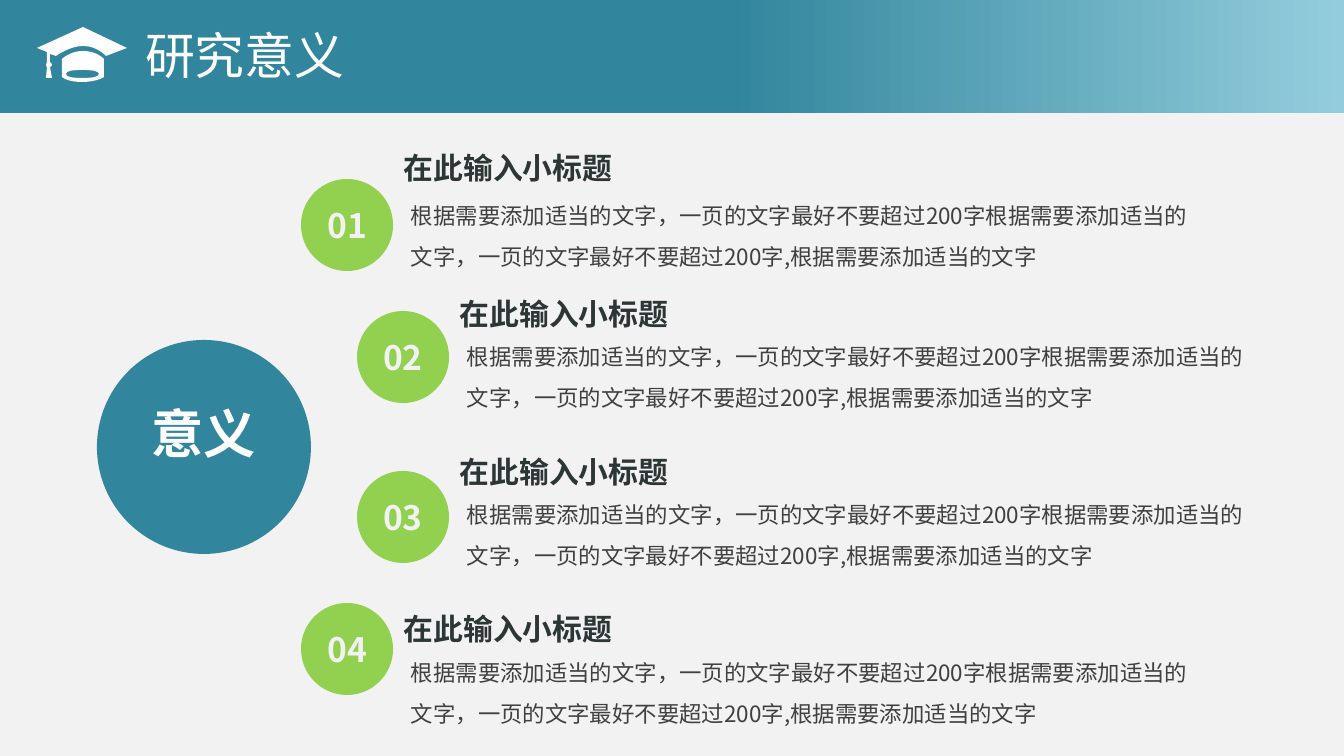
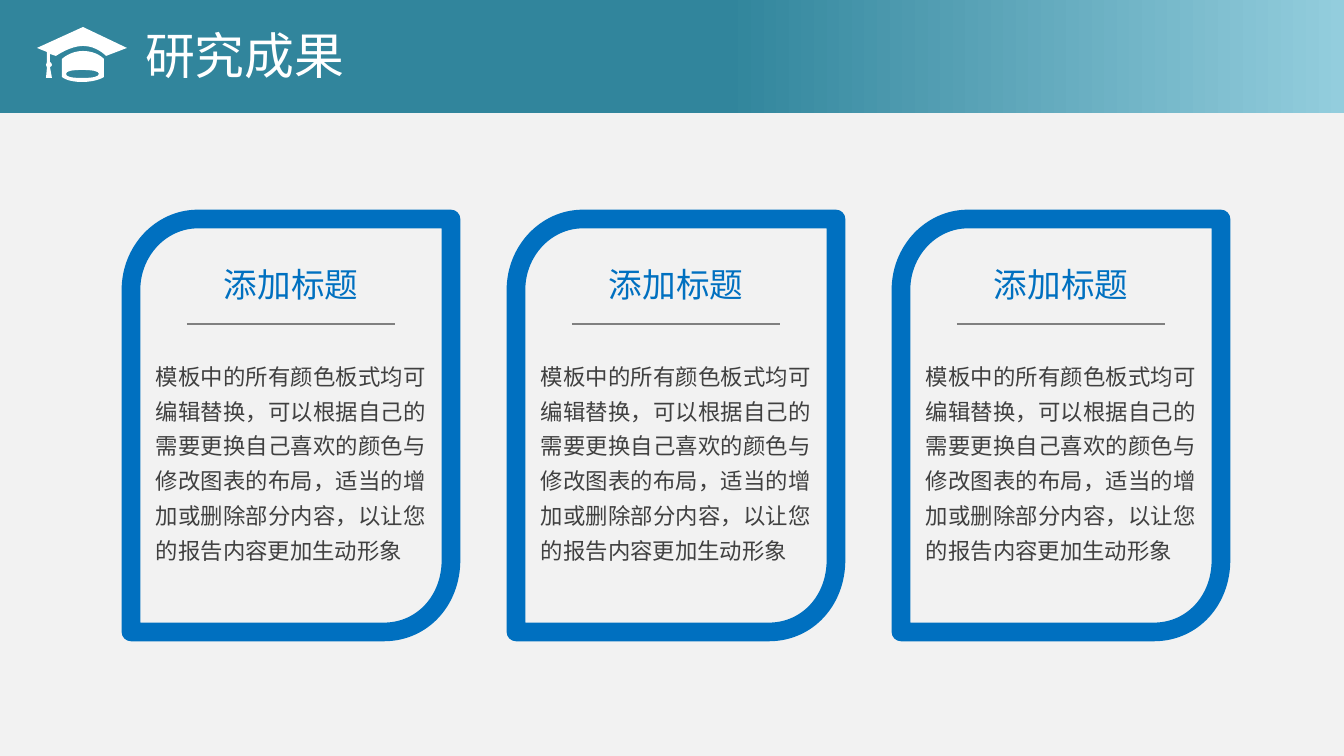
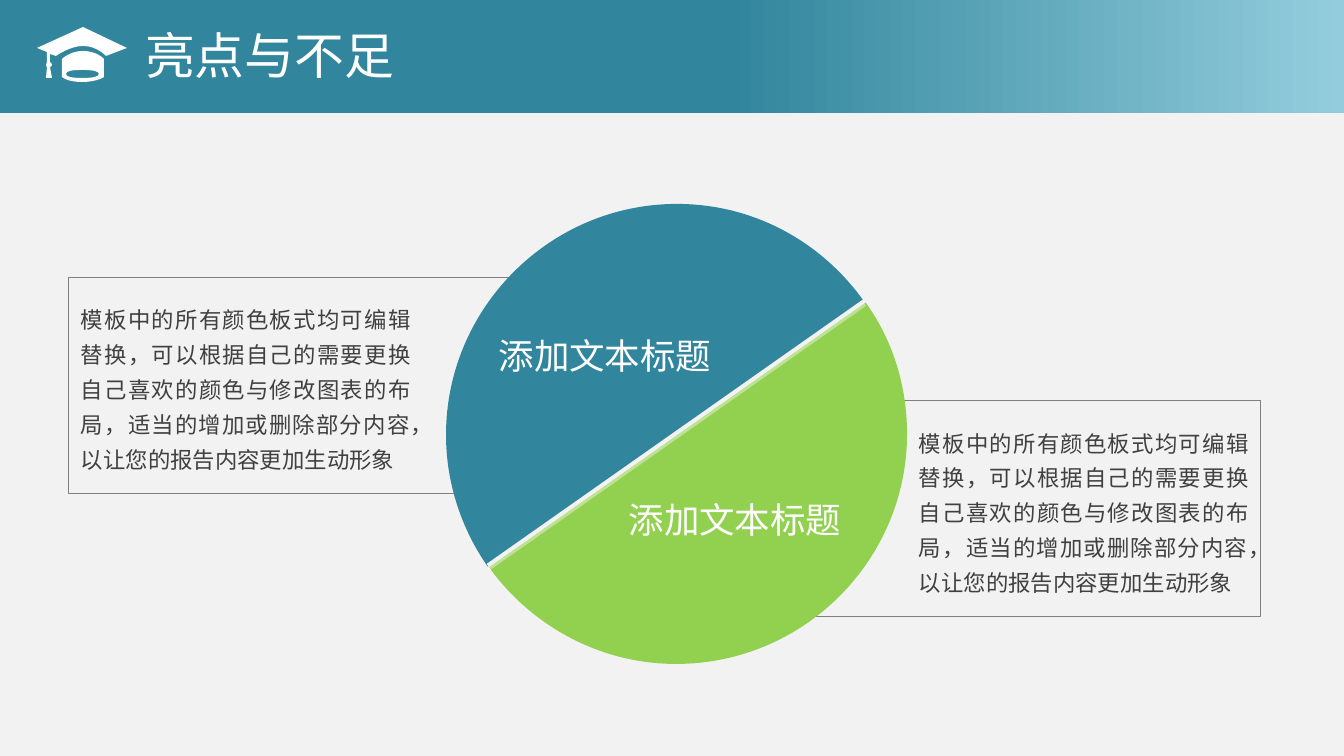
from lxml import etree
from pptx import Presentation
from pptx.dml.color import RGBColor
from pptx.enum.shapes import MSO_CONNECTOR as Connector, MSO_SHAPE as Preset
from pptx.enum.text import MSO_ANCHOR as Anchor, MSO_AUTO_SIZE as AutoSize, PP_ALIGN as Align
from pptx.oxml.ns import qn
from pptx.util import Emu, Inches, Pt

SLIDE_WIDTH, SLIDE_HEIGHT = 1344, 756
SCALE = Inches(10) / SLIDE_WIDTH
FONT = "Noto Sans CJK SC"

TEAL = RGBColor(0x31, 0x85, 0x9C)
PALE_TEAL = RGBColor(0x93, 0xCD, 0xDD)
GREEN = RGBColor(0x92, 0xD0, 0x50)
BLUE = RGBColor(0x00, 0x70, 0xC0)
WHITE = RGBColor(0xFF, 0xFF, 0xFF)
PAPER = RGBColor(0xF2, 0xF2, 0xF2)
GRAY = RGBColor(0x80, 0x80, 0x80)
INK = RGBColor(0x2C, 0x36, 0x37)
BODY_INK = RGBColor(0x40, 0x40, 0x40)

ITEM_TEXT = ("根据需要添加适当的文字，一页的文字最好不要超过200字根据需要添加适当的文字，"
             "一页的文字最好不要超过200字,根据需要添加适当的文字")
TEMPLATE_TEXT = ("模板中的所有颜色板式均可编辑替换，可以根据自己的需要更换自己喜欢的颜色与修改图表的布局，"
                 "适当的增加或删除部分内容，以让您的报告内容更加生动形象")

# Outlines in px: a pair is a straight step, six numbers are a Bezier curve
CAP = [
    [(69, 29), (69, 29, 60, 19, 46, 19), (33, 19, 19, 29, 19, 29), (13, 27), (13, 35),
     (14, 36, 15, 36, 15, 38), (15, 39, 14, 40, 13, 40), (15, 51), (9, 51), (10, 40),
     (10, 40, 9, 39, 9, 38), (9, 37, 10, 36, 10, 35), (10, 25), (0, 21), (46, 0), (90, 21)],
    [(46, 24), (60, 24, 67, 32, 67, 32), (67, 50), (67, 50, 60, 55, 45, 55),
     (30, 55, 25, 50, 25, 50), (25, 32), (25, 32, 33, 24, 46, 24)],
    [(45, 51), (55, 51, 62, 50, 62, 47), (62, 44, 55, 43, 45, 43),
     (35, 43, 29, 44, 29, 47), (29, 50, 35, 51, 45, 51)],
]
CARD = [[(67, 0), (320, 0), (320, 341), (320, 382, 291, 413, 253, 413),
         (0, 413), (0, 71), (0, 32, 30, 0, 67, 0)]]
UPPER_HALF = [[(231, 0), (308, 0, 375, 38, 417, 96), (42, 363),
               (16, 326, 0, 280, 0, 231), (0, 104, 104, 0, 231, 0)]]
LOWER_HALF = [[(417, 95), (445, 132, 461, 179, 461, 230), (461, 356, 358, 460, 230, 460),
               (153, 460, 84, 421, 42, 362)]]


def px(length):
    return Emu(round(length * SCALE))


def box_px(*box):
    return [px(length) for length in box]


def paint(shape, fill=None, line=None, width=0):
    shape.shadow.inherit = False
    if fill is None:
        shape.fill.background()
    else:
        shape.fill.solid()
        shape.fill.fore_color.rgb = fill
    if line is None:
        shape.line.fill.background()
    else:
        shape.line.color.rgb = line
        shape.line.width = Pt(width)
    return shape


def write(shape, text, size, color, bold=False, align=Align.LEFT, anchor=Anchor.TOP,
          insets=(13, 7, 13, 7), spacing=1.0):
    frame = shape.text_frame
    frame.text = text
    frame.word_wrap = True
    frame.auto_size = AutoSize.NONE
    frame.vertical_anchor = anchor
    (frame.margin_left, frame.margin_top,
     frame.margin_right, frame.margin_bottom) = box_px(*insets)
    paragraph = frame.paragraphs[0]
    paragraph.alignment = align
    paragraph.line_spacing = spacing
    run = paragraph.runs[0]
    run.font.name = FONT
    run.font.size = Pt(size)
    run.font.bold = bold
    run.font.color.rgb = color
    east_asian = etree.SubElement(run._r.get_or_add_rPr(), qn("a:ea"))
    east_asian.set("typeface", FONT)


def add_preset(shapes, preset, box, fill, line=None, width=0):
    return paint(shapes.add_shape(preset, *box_px(*box)), fill, line, width)


def add_text(shapes, box, *args, **options):
    write(shapes.add_textbox(*box_px(*box)), *args, **options)


def bend(shape, contours):
    """Turn the straight segments of a freeform into curves where six numbers are given."""
    ends = [step[-2:] for contour in contours for step in contour]
    min_x, min_y = min(x for x, _ in ends), min(y for _, y in ends)
    steps = [step for contour in contours for step in contour[1:]]
    segments = list(shape.element.iter(qn("a:lnTo")))
    for segment, step in zip(segments, steps):
        if len(step) == 6:
            curve = etree.Element(qn("a:cubicBezTo"))
            for x, y in zip(step[::2], step[1::2]):
                etree.SubElement(curve, qn("a:pt"), x=str(x - min_x), y=str(y - min_y))
            segment.getparent().replace(segment, curve)


def add_outline(shapes, left, top, contours, fill=None, line=None, width=0):
    builder = shapes.build_freeform(*contours[0][0], scale=SCALE)
    for index, contour in enumerate(contours):
        if index:
            builder.move_to(*contour[0])
        builder.add_line_segments([step[-2:] for step in contour[1:]], close=True)
    shape = builder.convert_to_shape(px(left), px(top))
    bend(shape, contours)
    return paint(shape, fill, line, width)


def add_backdrop(presentation, slide):
    """Lay the paper colour on the master, behind its placeholders."""
    backdrop = add_preset(slide.shapes, Preset.RECTANGLE,
                          (0, 0, SLIDE_WIDTH, SLIDE_HEIGHT), PAPER)
    backdrop.element.nvSpPr.cNvPr.set("id", "20")
    presentation.slide_master.shapes[0].element.addprevious(backdrop.element)


def add_titled_slide(presentation, title):
    slide = presentation.slides.add_slide(presentation.slide_layouts[5])
    heading = slide.shapes.title
    # Gradient band, kept behind the title
    band = add_preset(slide.shapes, Preset.RECTANGLE, (0, 0, SLIDE_WIDTH, 113), TEAL)
    band.fill.gradient()
    band.fill.gradient_angle = 180
    for stop, position, color in zip(band.fill.gradient_stops, (0, 0.46), (PALE_TEAL, TEAL)):
        stop.position = position
        stop.color.rgb = color
    heading.element.addprevious(band.element)
    # Title and graduation cap
    heading.left, heading.top, heading.width, heading.height = box_px(132, 18, 567, 74)
    write(heading, title, 26.7, WHITE, anchor=Anchor.MIDDLE)
    add_outline(slide.shapes, 37, 27, CAP, WHITE)
    return slide


def add_hub(slide, left, top):
    group = slide.shapes.add_group_shape()
    add_preset(group.shapes, Preset.OVAL, (left, top, 214, 214), TEAL)
    add_text(group.shapes, (left + 22, top + 54, 169, 77), "意义", 28, WHITE,
             bold=True, align=Align.CENTER)


def add_item(slide, number, left, circle_top, heading_top, body_top):
    circle = add_preset(slide.shapes, Preset.OVAL, (left, circle_top, 92, 92), GREEN)
    write(circle, f"{number:02}", 18, PAPER, bold=True, align=Align.CENTER,
          anchor=Anchor.MIDDLE, insets=(0, 7, 0, 7))
    insets = (9, 5, 9, 5)
    add_text(slide.shapes, (left + 94, heading_top, 305, 46), "在此输入小标题", 16, INK,
             bold=True, insets=insets)
    add_text(slide.shapes, (left + 101, body_top, 810, 87), ITEM_TEXT, 12, BODY_INK,
             insets=insets, spacing=1.5)


def build_significance(presentation):
    slide = add_titled_slide(presentation, "研究意义")
    add_backdrop(presentation, slide)
    items = [(301, 179, 145, 184), (357, 311, 291, 325),
             (357, 471, 449, 483), (301, 603, 606, 641)]
    for number, item in enumerate(items, 1):
        add_item(slide, number, *item)
    add_hub(slide, 97, 340)


def write_description(shape, insets):
    write(shape, TEMPLATE_TEXT, 12, BODY_INK, align=Align.JUSTIFY,
          anchor=Anchor.MIDDLE, insets=insets, spacing=1.3)


def add_card(slide, left, top):
    card = add_outline(slide.shapes, left, top, CARD, line=BLUE, width=10)
    write_description(card, (25, 75, 25, 7))
    # Heading with its rule
    rule = slide.shapes.add_connector(
        Connector.STRAIGHT, *box_px(left + 56, top + 105, left + 264, top + 105))
    rule.line.color.rgb = GRAY
    rule.line.width = Pt(1.5)
    etree.SubElement(rule.element.spPr, qn("a:effectLst"))
    add_text(slide.shapes, (left + 56, top + 26, 208, 79), "添加标题", 18, BLUE,
             align=Align.CENTER, anchor=Anchor.MIDDLE, insets=(0, 7, 0, 7))


def build_results(presentation):
    slide = add_titled_slide(presentation, "研究成果")
    for column in range(3):
        add_card(slide, 131 + 385 * column, 219)


def add_note(slide, box, insets):
    note = add_preset(slide.shapes, Preset.RECTANGLE, box, PAPER, GRAY, 0.5)
    write_description(note, insets)


def add_split_disc(slide, left, top):
    halves = [(LOWER_HALF, GREEN, (75, 75, 0, 0)), (UPPER_HALF, TEAL, (0, 0, 99, 60))]
    for outline, color, insets in halves:
        half = add_outline(slide.shapes, left, top, outline, color)
        write(half, "添加文本标题", 19, WHITE, align=Align.CENTER,
              anchor=Anchor.MIDDLE, insets=insets)
    # Slanted gap with a translucent white shadow
    gap = add_preset(slide.shapes, Preset.RECTANGLE, (left, top + 227, 461, 4), PAPER)
    gap.rotation = 324.9
    effects = gap.element.spPr.find(qn("a:effectLst"))
    shadow = etree.SubElement(effects, qn("a:outerShdw"), blurRad="0", dist=str(Pt(2)),
                              dir="5400000", rotWithShape="0")
    color = etree.SubElement(shadow, qn("a:srgbClr"), val=str(WHITE))
    etree.SubElement(color, qn("a:alpha"), val="40000")


def build_strengths(presentation):
    slide = add_titled_slide(presentation, "亮点与不足")
    add_note(slide, (785, 401, 476, 216), (134, 7, 12, 7))
    add_note(slide, (69, 277, 476, 217), (12, 7, 134, 7))
    add_split_disc(slide, 446, 204)


def main():
    presentation = Presentation()
    presentation.slide_width = px(SLIDE_WIDTH)
    presentation.slide_height = px(SLIDE_HEIGHT)
    build_significance(presentation)
    build_results(presentation)
    build_strengths(presentation)
    presentation.save("out.pptx")


if __name__ == "__main__":
    main()
